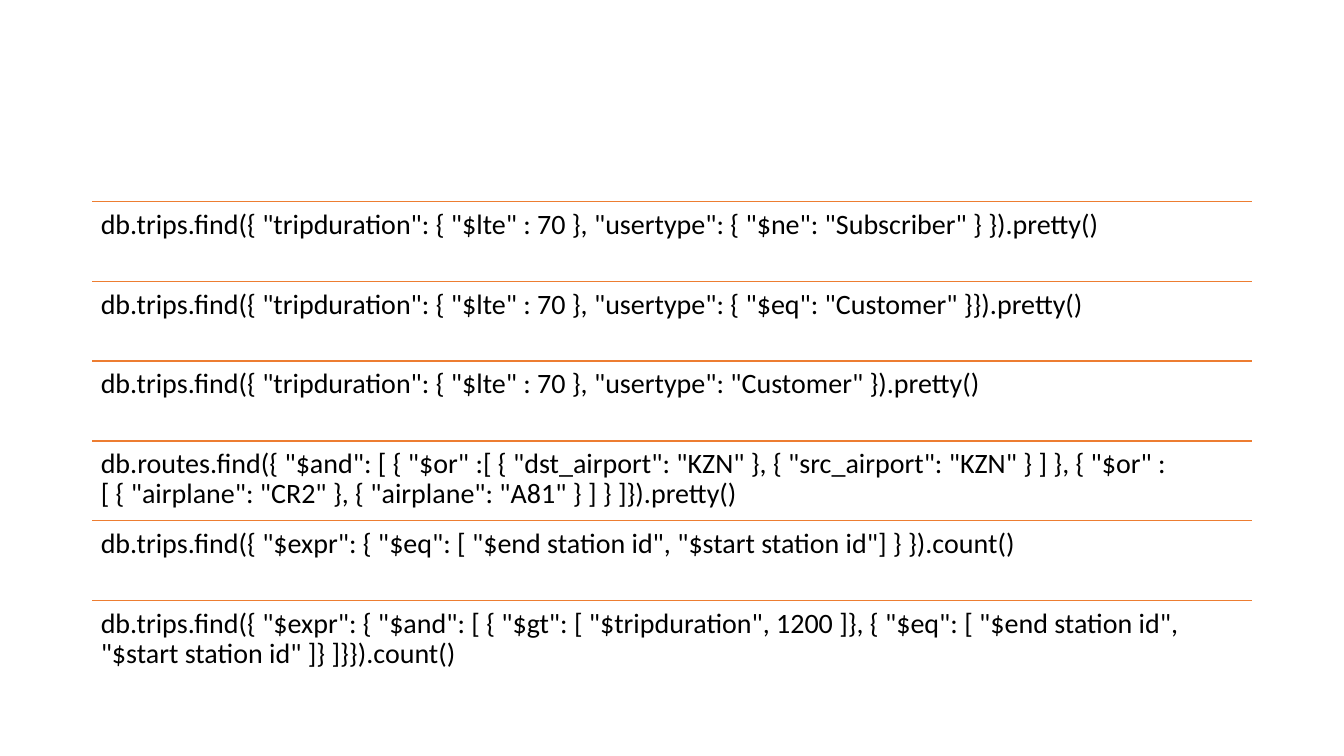
from lxml.etree import SubElement
from pptx import Presentation
from pptx.dml.color import RGBColor
from pptx.enum.shapes import MSO_CONNECTOR as Connector
from pptx.enum.text import MSO_ANCHOR as Anchor
from pptx.oxml.ns import qn
from pptx.util import Pt

EMU_PER_PX = 9525
LEFT, TOP, WIDTH, ROW_HEIGHT, INSET = 88, 192, 1104, 76, 8
QUERIES = [
    'db.trips.find({ "tripduration": { "$lte" : 70 }, "usertype": { "$ne": "Subscriber" } }).pretty()',
    'db.trips.find({ "tripduration": { "$lte" : 70 }, "usertype": { "$eq": "Customer" }}).pretty()',
    'db.trips.find({ "tripduration": { "$lte" : 70 }, "usertype": "Customer" }).pretty()',
    'db.routes.find({ "$and": [ { "$or" :[ { "dst_airport": "KZN" }, { "src_airport": "KZN" } ] }, '
    '{ "$or" :[ { "airplane": "CR2" }, { "airplane": "A81" } ] } ]}).pretty()',
    'db.trips.find({ "$expr": { "$eq": [ "$end station id", "$start station id"] } }).count()',
    'db.trips.find({ "$expr": { "$and": [ { "$gt": [ "$tripduration", 1200 ]}, '
    '{ "$eq": [ "$end station id", "$start station id" ]} ]}}).count()',
]


def px(length):
    return length * EMU_PER_PX


def color(hex_code):
    return RGBColor.from_string(hex_code)


class QuerySlide:
    """Draws ruled rows of query text on one slide."""

    font_name = "Calibri"
    font_size = 20
    ink = "000000"
    accent = "ED7D31"

    def __init__(self, deck):
        self.slide = deck.slides.add_slide(deck.slide_layouts[6])

    def rule(self, left, top, width):
        divider = self.slide.shapes.add_connector(
            Connector.STRAIGHT, px(left), px(top), px(left + width), px(top))
        divider.line.color.rgb = color(self.accent)
        divider.line.width = Pt(1)
        SubElement(divider._element.spPr, qn("a:effectLst"))

    def text(self, left, top, width, height, wording):
        box = self.slide.shapes.add_textbox(px(left), px(top), px(width), px(height))
        frame = box.text_frame
        frame.word_wrap = True
        frame.vertical_anchor = Anchor.TOP
        frame.margin_left = frame.margin_right = px(INSET)
        frame.margin_top = frame.margin_bottom = px(INSET)
        paragraph = frame.paragraphs[0]
        paragraph.line_spacing = 0.9
        paragraph.space_after = Pt(7)
        run = paragraph.add_run()
        run.text = wording
        run.font.name = self.font_name
        run.font.size = Pt(self.font_size)
        run.font.color.rgb = color(self.ink)


def main():
    deck = Presentation()
    deck.slide_width, deck.slide_height = px(1280), px(720)
    page = QuerySlide(deck)
    for index, query in enumerate(QUERIES):
        row_top = TOP + index * ROW_HEIGHT
        page.rule(LEFT, row_top, WIDTH)
        page.text(LEFT, row_top, WIDTH, ROW_HEIGHT, query)
    deck.save("out.pptx")


if __name__ == "__main__":
    main()
